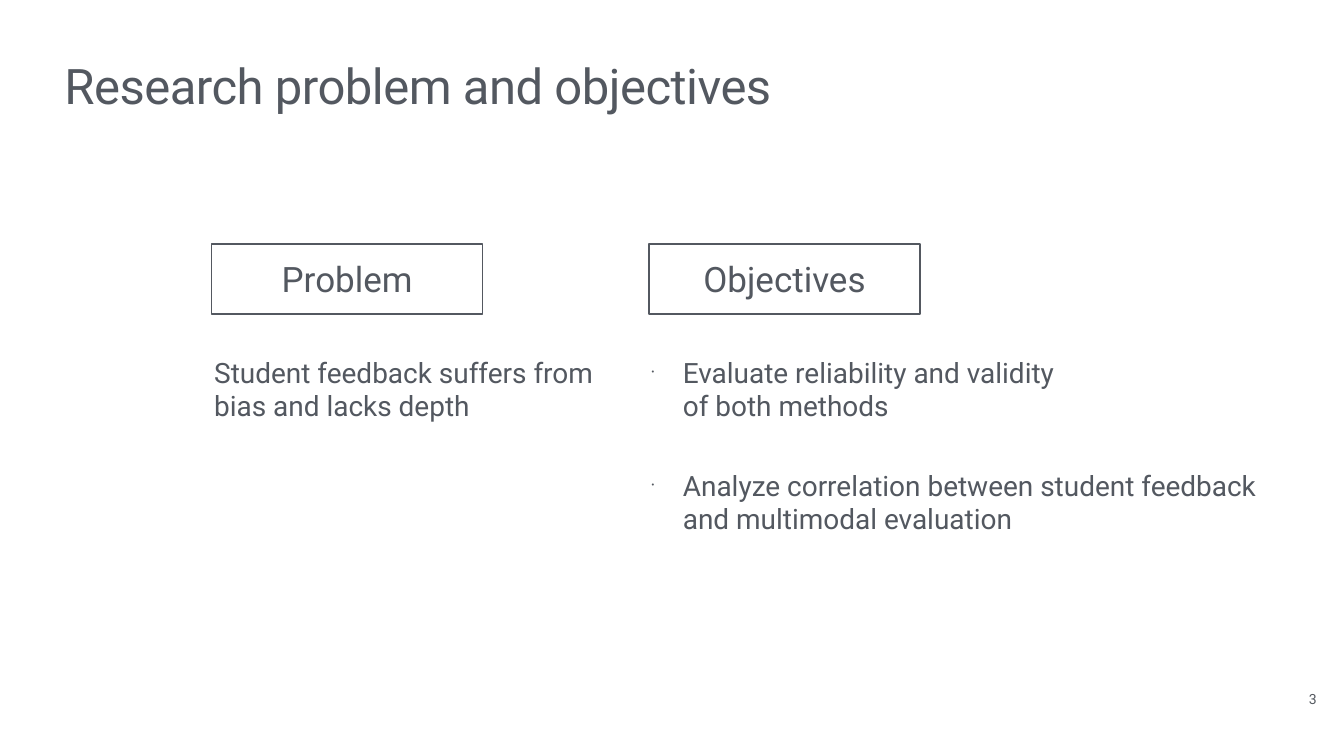
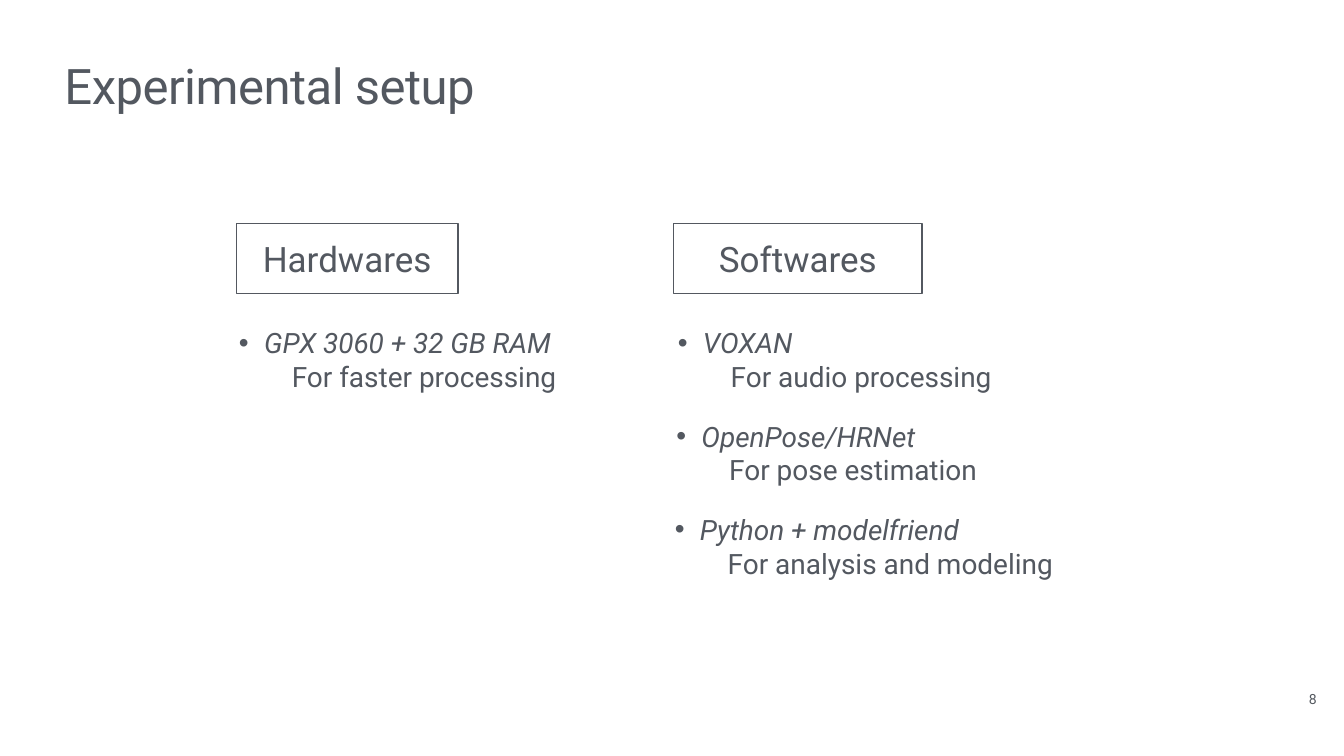
from lxml import etree
from pptx import Presentation
from pptx import util as u
from pptx.dml.color import RGBColor
from pptx.enum import shapes, text
from pptx.oxml import ns

SLATE = RGBColor(0x53, 0x58, 0x60)
NUMBER_GREY = RGBColor(0x53, 0x58, 0x5F)
WHITE = RGBColor(0xFF, 0xFF, 0xFF)
FONT = "Roboto"
WIDTH, HEIGHT = 26.67, 15
INSET = 0.06
HEADING_HEIGHT, ITEM_HEIGHT = 1.39, 1.55
NOTE_INDENT = 0.55

SLIDES = [
    {
        "title": "Research problem and objectives", "title_width": 15.35, "number": "3",
        "heading_top": 4.84, "item_top": 6.94, "row_step": 2.24, "row_shift": 0,
        "indent": 0.62, "bullet_size": 27,
        "columns": [
            {"heading": "Problem", "left": 4.2, "width": 5.38, "item_left": 4.19, "bulleted": False,
             "items": [(7.69, ["Student feedback suffers from bias and lacks depth"])]},
            {"heading": "Objectives", "left": 12.88, "width": 5.38, "item_left": 12.87, "bulleted": True,
             "items": [
                 (8.65, ["Evaluate reliability and validity of both methods"]),
                 (12.81, ["Analyze correlation between student feedback and multimodal evaluation"]),
             ]},
        ],
    },
    {
        "title": "Experimental setup", "title_width": 9.09, "number": "8",
        "heading_top": 4.43, "item_top": 6.36, "row_step": 1.85, "row_shift": -0.03,
        "indent": 0.5, "bullet_size": 100,
        "columns": [
            {"heading": "Hardwares", "left": 4.69, "width": 4.4, "item_left": 4.68, "bulleted": True,
             "items": [(8.66, ["GPX 3060 + 32 GB RAM", "For faster processing"])]},
            {"heading": "Softwares", "left": 13.37, "width": 4.93, "item_left": 13.39, "bulleted": True,
             "items": [
                 (8.66, ["VOXAN", "For audio processing"]),
                 (8.66, ["OpenPose/HRNet", "For pose estimation"]),
                 (8.66, ["Python + modelfriend", "For analysis and modeling"]),
             ]},
        ],
    },
]


def place(shape, left, top, width, height):
    shape.left, shape.top = u.Inches(left), u.Inches(top)
    shape.width, shape.height = u.Inches(width), u.Inches(height)


def set_frame(shape, anchor=text.MSO_ANCHOR.MIDDLE, wrap=True):
    frame = shape.text_frame
    frame.margin_left = frame.margin_right = u.Inches(INSET)
    frame.margin_top = frame.margin_bottom = u.Inches(INSET)
    frame.auto_size = text.MSO_AUTO_SIZE.NONE
    frame.vertical_anchor = anchor
    frame.word_wrap = wrap
    return frame


def write(paragraph, words, size=40, color=SLATE, align=text.PP_ALIGN.LEFT,
          italic=False, line_spacing=1.0, tracking=None):
    paragraph.alignment = align
    paragraph.line_spacing = line_spacing
    paragraph.space_before = paragraph.space_after = u.Pt(0)
    run = paragraph.add_run()
    run.text = words
    font = run.font
    font.name, font.size, font.bold, font.italic = FONT, u.Pt(size), False, italic
    font.color.rgb = color
    if tracking is not None:
        run._r.get_or_add_rPr().set("spc", str(tracking))


def set_bullet(paragraph, margin=0, hanging=0, size=None):
    properties = paragraph._p.get_or_add_pPr()
    properties.set("marL", str(u.Inches(margin)))
    properties.set("indent", str(-u.Inches(hanging)))
    if size is None:
        etree.SubElement(properties, ns.qn("a:buNone"))
        return
    etree.SubElement(properties, ns.qn("a:buSzPct")).set("val", str(size * 1000))
    etree.SubElement(properties, ns.qn("a:buFont")).set("typeface", "Arial")
    etree.SubElement(properties, ns.qn("a:buChar")).set("char", "•")


def add_heading(slide, column, top):
    box = slide.shapes.add_shape(shapes.MSO_SHAPE.RECTANGLE, 0, 0, 0, 0)
    place(box, column["left"], top, column["width"], HEADING_HEIGHT)
    box.shadow.inherit = False
    box.fill.solid()
    box.fill.fore_color.rgb = WHITE
    box.line.color.rgb = SLATE
    box.line.width = u.Pt(2)
    write(set_frame(box).paragraphs[0], column["heading"], size=50, align=text.PP_ALIGN.CENTER)


def fill_item(shape, lines, indent, bullet_size):
    frame = set_frame(shape)
    first = frame.paragraphs[0]
    write(first, lines[0], italic=len(lines) > 1)
    set_bullet(first, indent, indent, bullet_size)
    for note in lines[1:]:
        paragraph = frame.add_paragraph()
        write(paragraph, note)
        set_bullet(paragraph, indent + NOTE_INDENT)


def add_slide(presentation, content):
    slide = presentation.slides.add_slide(presentation.slide_layouts.get_by_name("Comparison"))
    title = slide.shapes.title
    place(title, 1.22, 1.06, content["title_width"], 1.38)
    write(set_frame(title, wrap=False).paragraphs[0], content["title"],
          size=70, line_spacing=0.9, tracking=-70)

    number = slide.shapes.add_textbox(0, 0, 0, 0)
    place(number, 25.9, 13.62, 0.29, 0.47)
    write(set_frame(number, text.MSO_ANCHOR.BOTTOM, wrap=False).paragraphs[0], content["number"],
          size=20, color=NUMBER_GREY, align=text.PP_ALIGN.RIGHT)

    bodies = [shape for shape in slide.placeholders if shape.placeholder_format.idx in range(1, 5)]
    for column in content["columns"]:
        add_heading(slide, column, content["heading_top"])
        indent = content["indent"] if column["bulleted"] else 0
        bullet_size = content["bullet_size"] if column["bulleted"] else None
        for row, (width, lines) in enumerate(column["items"]):
            body = bodies.pop(0)
            place(body, column["item_left"] + row * content["row_shift"],
                  content["item_top"] + row * content["row_step"], width, ITEM_HEIGHT)
            fill_item(body, lines, indent, bullet_size)
    for unused in bodies:
        unused._element.getparent().remove(unused._element)


def main():
    presentation = Presentation()
    presentation.slide_width, presentation.slide_height = u.Inches(WIDTH), u.Inches(HEIGHT)
    for content in SLIDES:
        add_slide(presentation, content)
    presentation.save("out.pptx")


if __name__ == "__main__":
    main()
